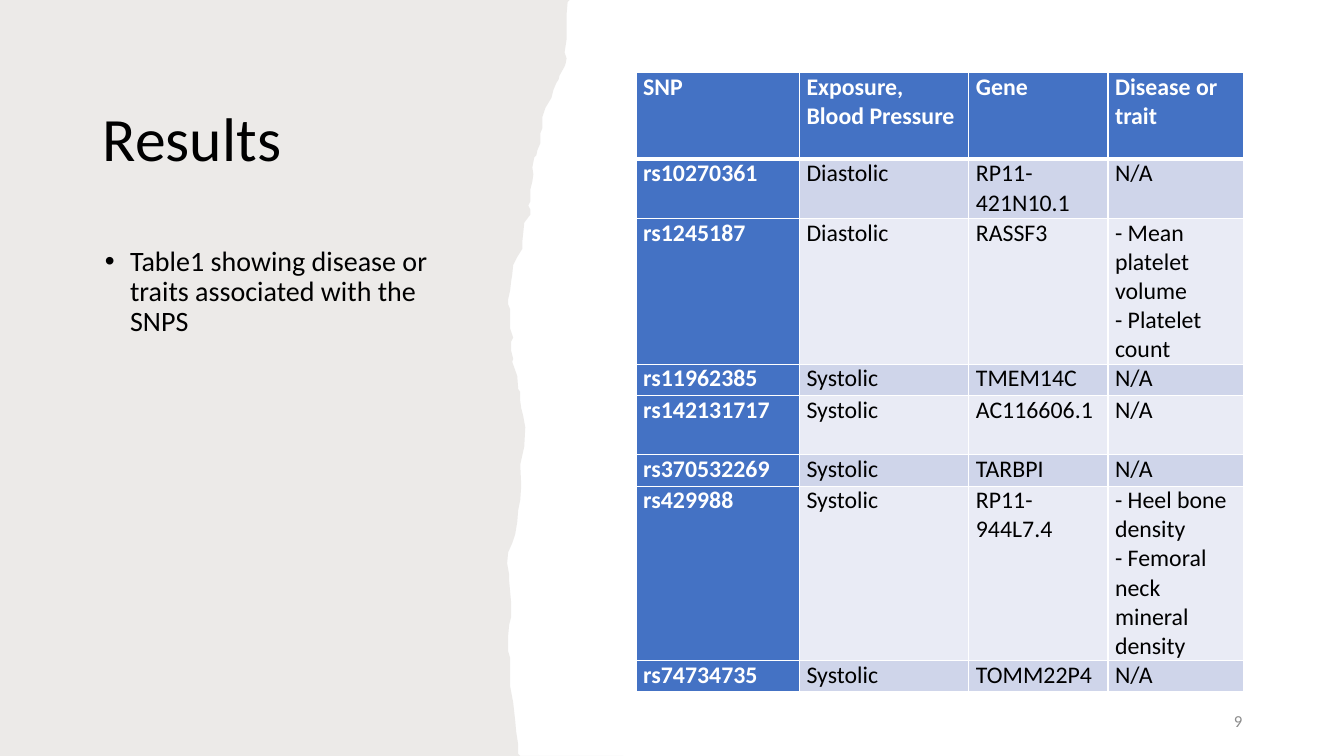
from lxml.etree import SubElement
from pptx import Presentation
from pptx.dml.color import RGBColor
from pptx.enum.text import MSO_ANCHOR as Anchor, MSO_AUTO_SIZE as AutoSize, PP_ALIGN as Align
from pptx.oxml.ns import qn
from pptx.util import Inches, Pt

BLACK = RGBColor(0x00, 0x00, 0x00)
WHITE = RGBColor(0xFF, 0xFF, 0xFF)
GRAY = RGBColor(0x8C, 0x8C, 0x8C)
TAUPE = RGBColor(0x82, 0x76, 0x6A)
BLUE = RGBColor(0x44, 0x72, 0xC4)
BAND_DARK = RGBColor(0xCF, 0xD5, 0xEA)
BAND_LIGHT = RGBColor(0xE9, 0xEB, 0xF5)

HEADING = "Results"
CAPTION = "Table1 showing disease or traits associated with the SNPS"
PAGE = "9"
SNP_ROWS = [
    ("SNP", "Exposure, Blood Pressure", "Gene", "Disease or trait"),
    ("rs10270361", "Diastolic", "RP11-421N10.1", "N/A"),
    ("rs1245187", "Diastolic", "RASSF3", "- Mean platelet volume\n- Platelet count"),
    ("rs11962385", "Systolic", "TMEM14C", "N/A"),
    ("rs142131717", "Systolic", "AC116606.1", "N/A"),
    ("rs370532269", "Systolic", "TARBPI", "N/A"),
    ("rs429988", "Systolic", "RP11-944L7.4",
     "- Heel bone density\n- Femoral neck mineral density"),
    ("rs74734735", "Systolic", "TOMM22P4", "N/A"),
]
COLUMN_WIDTHS = [1.62, 1.68, 1.38, 1.34]
ROW_HEIGHTS = [0.86, 0.59, 1.41, 0.31, 0.59, 0.31, 1.69, 0.31]

TORN_EDGE = [
    (5.65, 0), (5.63, 0.02), (5.62, 0.14), (5.62, 0.39), (5.6, 0.52), (5.62, 0.58),
    (5.61, 0.63), (5.6, 0.66), (5.55, 0.75), (5.54, 0.79), (5.52, 0.82), (5.49, 0.89),
    (5.47, 0.97), (5.41, 1.07), (5.38, 1.16), (5.38, 1.27), (5.36, 1.32), (5.36, 1.42),
    (5.33, 1.49), (5.32, 1.54), (5.3, 1.56), (5.28, 1.66), (5.29, 1.73), (5.28, 1.8),
    (5.26, 1.88), (5.26, 2), (5.24, 2.04), (5.26, 2.08), (5.26, 2.13), (5.2, 2.21),
    (5.19, 2.31), (5.18, 2.4), (5.18, 2.47), (5.13, 2.55), (5.09, 2.63), (5.08, 2.73),
    (5.07, 2.79), (5.06, 2.88), (5.04, 2.97), (5.04, 3.02), (5.06, 3.07), (5.06, 3.26),
    (5.09, 3.35), (5.07, 3.39), (5.07, 3.48), (5.09, 3.56), (5.08, 3.59), (5.13, 3.73),
    (5.14, 3.86), (5.16, 3.89), (5.16, 3.98), (5.17, 4.05), (5.19, 4.13), (5.21, 4.24),
    (5.2, 4.43), (5.16, 4.61), (5.17, 4.82), (5.16, 4.96), (5.14, 5.06), (5.13, 5.18),
    (5.11, 5.3), (5.08, 5.39), (5.04, 5.48), (5.03, 5.59), (5.05, 5.7), (5.05, 5.76),
    (5.07, 5.98), (5.07, 6.12), (5.05, 6.2), (5.04, 6.31), (5.04, 6.46), (5.06, 6.53),
    (5.06, 6.81), (5.09, 6.97), (5.11, 7.15), (5.12, 7.26), (5.14, 7.39), (5.14, 7.48),
    (5.16, 7.5), (6.18, 7.5),
]


def place(part, left, top, width, height):
    box = {"left": left, "top": top, "width": width, "height": height}
    for side, length in box.items():
        setattr(part, side, Inches(length))


def write(frame, text, size, color, bold=False, **paragraph_format):
    frame.text = text
    for paragraph in frame.paragraphs:
        for key, value in paragraph_format.items():
            setattr(paragraph, key, value)
        font = paragraph.runs[0].font
        for key, value in {"name": "Calibri", "size": Pt(size), "bold": bold}.items():
            setattr(font, key, value)
        font.color.rgb = color


def add_borders(cell, row):
    properties = cell._tc.get_or_add_tcPr()
    thick = {0: "lnB", 1: "lnT"}.get(row)
    for edge in ("lnL", "lnR", "lnT", "lnB"):
        width = Pt(3 if edge == thick else 1)
        line = SubElement(properties, qn(f"a:{edge}"), w=str(width))
        SubElement(SubElement(line, qn("a:solidFill")), qn("a:srgbClr"), val=str(WHITE))


def add_torn_paper(slide):
    outline = [(Inches(x), Inches(y)) for x, y in TORN_EDGE + [(0, 7.5)]]
    builder = slide.shapes.build_freeform(0, 0)
    builder.add_line_segments(outline, close=True)
    paper = builder.convert_to_shape()
    paper.shadow.inherit = False
    paper.fill.solid()
    paper.fill.fore_color.rgb = TAUPE
    tint = paper.element.spPr.find(f"{qn('a:solidFill')}/{qn('a:srgbClr')}")
    SubElement(tint, qn("a:alpha"), val="15000")
    paper.line.fill.background()
    slide.shapes.title.element.addprevious(paper.element)


def add_text(slide):
    title, body = slide.shapes.title, slide.placeholders[1]
    place(title, 0.92, 0.67, 4.09, 1.46)
    place(body, 0.94, 2.4, 3.75, 4.27)
    write(title.text_frame, HEADING, 44, BLACK, alignment=Align.LEFT, line_spacing=0.9)
    write(body.text_frame, CAPTION, 20, BLACK, line_spacing=0.9, space_before=Pt(10))
    indent = body.text_frame.paragraphs[0]._p.get_or_add_pPr()
    indent.set("marL", str(Inches(0.25)))
    indent.set("indent", str(Inches(-0.25)))

    number = slide.shapes.add_textbox(Inches(9.42), Inches(6.95), Inches(3), Inches(0.4))
    write(number.text_frame, PAGE, 12, GRAY, alignment=Align.RIGHT)
    for part, anchor in ((title, Anchor.MIDDLE), (body, Anchor.TOP), (number, Anchor.MIDDLE)):
        layout = {"word_wrap": True, "auto_size": AutoSize.NONE, "vertical_anchor": anchor}
        for key, value in layout.items():
            setattr(part.text_frame, key, value)


def add_snp_table(slide):
    table = slide.shapes.add_table(
        len(SNP_ROWS), len(COLUMN_WIDTHS), Inches(6.31), Inches(0.72),
        Inches(sum(COLUMN_WIDTHS)), Inches(sum(ROW_HEIGHTS))).table
    table.first_col = True
    for column, width in zip(table.columns, COLUMN_WIDTHS):
        column.width = Inches(width)
    for row, height in zip(table.rows, ROW_HEIGHTS):
        row.height = Inches(height)
    margins = {"margin_left": 0.07, "margin_right": 0.07, "margin_top": 0, "margin_bottom": 0}
    for r, values in enumerate(SNP_ROWS):
        for c, value in enumerate(values):
            cell = table.cell(r, c)
            heading = r == 0 or c == 0
            write(cell.text_frame, value, 17, WHITE if heading else BLACK, heading)
            for side, inset in margins.items():
                setattr(cell, side, Inches(inset))
            add_borders(cell, r)
            cell.fill.solid()
            band = BAND_DARK if r % 2 else BAND_LIGHT
            cell.fill.fore_color.rgb = BLUE if heading else band


def main():
    deck = Presentation()
    deck.slide_width, deck.slide_height = Inches(13.33), Inches(7.5)
    slide = deck.slides.add_slide(deck.slide_layouts[1])
    add_torn_paper(slide)
    add_text(slide)
    add_snp_table(slide)
    deck.save("out.pptx")


if __name__ == "__main__":
    main()
